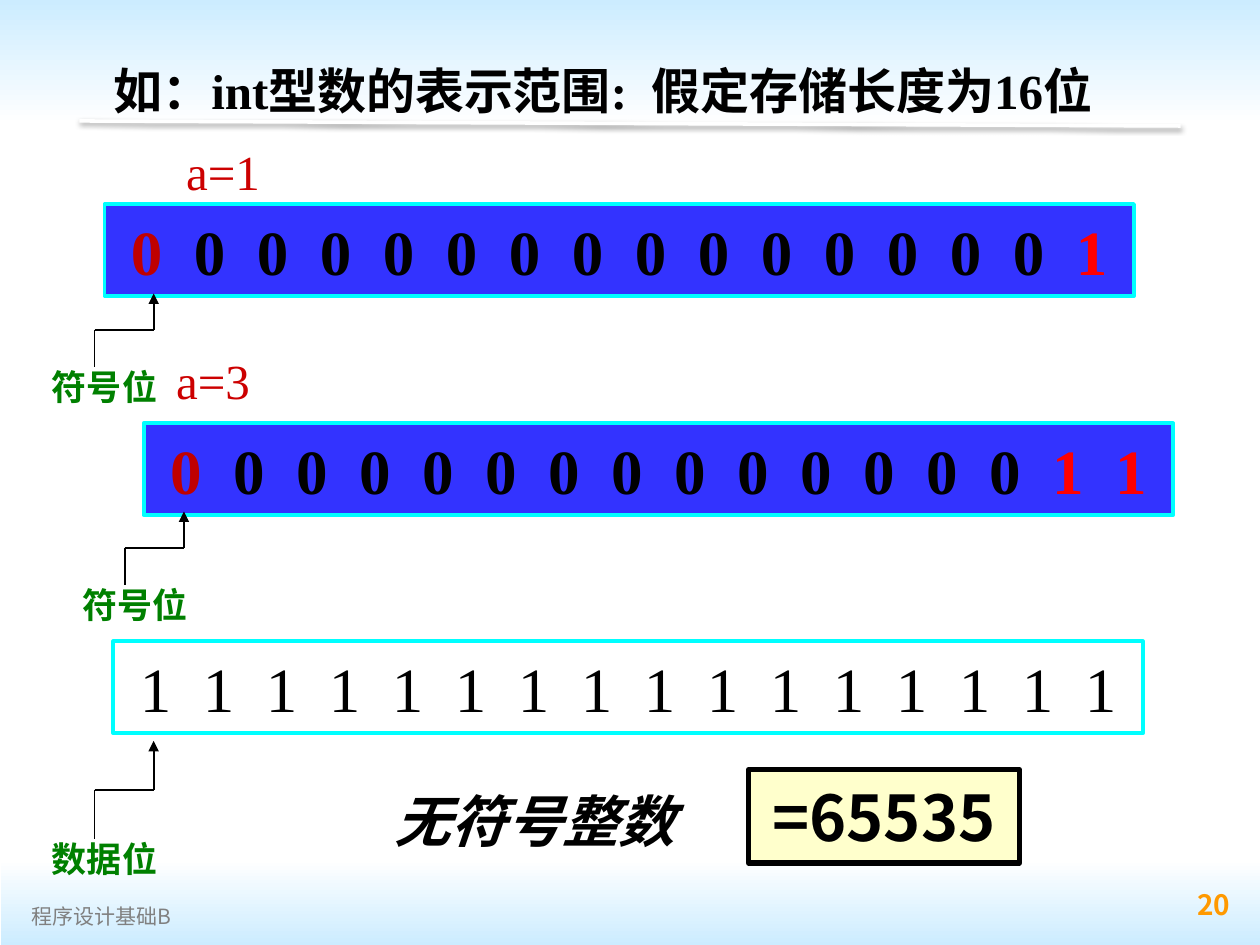
from dataclasses import dataclass

from pptx import Presentation
from pptx.dml.color import RGBColor as RGB
from pptx.enum.shapes import MSO_CONNECTOR as CONN, MSO_SHAPE as SHAPE
from pptx.enum.text import MSO_ANCHOR as ANCHOR, MSO_AUTO_SIZE as AUTO, PP_ALIGN as ALIGN
from pptx.oxml import parse_xml
from pptx.oxml.ns import nsdecls, qn
from pptx.util import Inches, Pt

SERIF, SANS = "Times New Roman", "Noto Sans CJK SC"
COLORS = {
    "white": "FFFFFF", "black": "000000", "sky": "CCECFF", "gray": "808080",
    "orange": "FF9900", "blue": "3333FF", "cyan": "00FFFF", "sign": "C00000",
    "one": "FF0000", "value": "CC0000", "green": "008000", "cream": "FFFFCC",
}
BIT_PITCH = 0.5
BIT_INSET = 0.21


@dataclass
class BitRow:
    left: float
    top: float
    bits: str
    fill: str
    signed: bool


@dataclass
class Marker:
    """A bent arrow with its tip at x, its corner at y, and a label below."""
    text: str
    x: float
    y: float
    rise: float


ROWS = [
    BitRow(0.83, 1.62, "0" * 15 + "1", "blue", True),
    BitRow(1.14, 3.36, "0" * 14 + "11", "blue", True),
    BitRow(0.9, 5.09, "1" * 16, "white", False),
]
MARKERS = [
    Marker("数据位", 1.22, 6.27, 0.39),
    Marker("符号位", 1.22, 2.62, 0.29),
    Marker("符号位", 1.46, 4.35, 0.29),
]


def rgb(name: str) -> RGB:
    return RGB.from_string(COLORS[name])


def add_run(p, text: str, *, size: float, color: str = "black", font: str = SERIF,
            bold: bool = False, italic: bool = False) -> None:
    r = p.add_run()
    r.text = text
    f = r.font
    f.size, f.bold, f.italic, f.name = Pt(size), bold, italic, font
    f.color.rgb = rgb(color)
    f._element.append(parse_xml(f'<a:ea {nsdecls("a")} typeface="{SANS}"/>'))


def write(sp, text: str, *, align=ALIGN.LEFT, wrap: bool = True, **fmt):
    tf = sp.text_frame
    tf.word_wrap, tf.auto_size = wrap, AUTO.NONE
    tf.vertical_anchor = ANCHOR.MIDDLE
    p = tf.paragraphs[0]
    p.alignment = align
    add_run(p, text, **fmt)
    return p


def add_text(s, text: str, x: float, y: float, w: float, h: float, **fmt) -> None:
    write(s.shapes.add_textbox(*map(Inches, (x, y, w, h))), text, **fmt)


def add_box(s, x: float, y: float, w: float, h: float, fill: str, line: str, width: float):
    sp = s.shapes.add_shape(SHAPE.RECTANGLE, *map(Inches, (x, y, w, h)))
    sp.shadow.inherit = False
    sp.fill.solid()
    sp.fill.fore_color.rgb = rgb(fill)
    sp.line.color.rgb = rgb(line)
    sp.line.width = Pt(width)
    return sp


def add_band(s, x: float, y: float, h: float, top: str, bottom: str) -> None:
    sp = s.shapes.add_shape(SHAPE.RECTANGLE, *map(Inches, (x, y, 10, h)))
    sp.shadow.inherit = False
    sp.line.fill.background()
    sp.fill.gradient()
    sp.fill.gradient_angle = 270
    for stop, color in zip(sp.fill.gradient_stops, (top, bottom)):
        stop.color.rgb = rgb(color)


def add_line(s, x1: float, y1: float, x2: float, y2: float, *, color: str = "black",
             width: float = 1, arrow: bool = False, effect: str = ""):
    c = s.shapes.add_connector(CONN.STRAIGHT, *map(Inches, (x1, y1, x2, y2)))
    c.line.color.rgb = rgb(color)
    c.line.width = Pt(width)
    if arrow:
        c.line._get_or_add_ln().append(parse_xml(f'<a:tailEnd {nsdecls("a")} type="triangle"/>'))
    c._element.spPr.append(parse_xml(f'<a:effectLst {nsdecls("a")}>{effect}</a:effectLst>'))


def add_bit_row(s, row: BitRow) -> None:
    sp = add_box(s, row.left, row.top, 8.17, 0.73, row.fill, "cyan", 2.25)
    sp.text_frame.margin_left = Inches(BIT_INSET)
    sp.text_frame.margin_right = 0
    if row.signed:
        zeros = row.bits.count("0")
        parts = [(row.bits[0], "sign"), (row.bits[1:zeros], "black"), (row.bits[zeros:], "one")]
    else:
        parts = [(row.bits[0], "black"), (row.bits[1:], "black")]
    fmt = dict(size=36, bold=row.signed)
    p = write(sp, parts[0][0], color=parts[0][1], **fmt)
    for bits, color in parts[1:]:
        add_run(p, "".join("\t" + bit for bit in bits), color=color, **fmt)
    # One tab stop per bit
    stops = "".join(f'<a:tab pos="{Inches(BIT_PITCH * i)}" algn="l"/>'
                    for i in range(1, len(row.bits)))
    p._p.get_or_add_pPr().append(parse_xml(f'<a:tabLst {nsdecls("a")}>{stops}</a:tabLst>'))


def add_marker(s, m: Marker) -> None:
    stem = m.x - 0.47
    add_text(s, m.text, m.x - 1.02, m.y + m.rise - 0.06, 1.26, 0.43,
             align=ALIGN.CENTER, size=20, color="green", bold=True)
    add_line(s, m.x, m.y, m.x, m.y - m.rise, arrow=True)
    add_line(s, stem, m.y, m.x, m.y)
    add_line(s, stem, m.y, stem, m.y + m.rise)


def add_title(s, text: str) -> None:
    sp = s.shapes.title
    sp.left, sp.top, sp.width, sp.height = map(Inches, (0.8, 0.44, 8.8, 0.55))
    p = write(sp, text, size=28, bold=True)
    pPr = p._p.get_or_add_pPr()
    pPr.set("marL", str(Inches(0.38)))
    pPr.set("indent", str(-Inches(0.38)))
    s.shapes._spTree.append(sp._element)  # in front of the bands


def main() -> None:
    prs = Presentation()
    prs.slide_width, prs.slide_height = Inches(10), Inches(7.5)
    s = prs.slides.add_slide(prs.slide_layouts[5])

    # Bands, title rule and footer
    add_band(s, 0, 0, 0.99, "sky", "white")
    add_band(s, 0.01, 6.82, 0.68, "white", "sky")
    shadow = (f'<a:outerShdw blurRad="{Pt(3.1)}" dist="{Pt(1.6)}" dir="5400000">'
              '<a:srgbClr val="000000"><a:alpha val="38000"/></a:srgbClr></a:outerShdw>')
    add_line(s, 0.63, 0.96, 9.37, 1, color="white", width=2, effect=shadow)
    add_text(s, "程序设计基础B", 0.15, 7.15, 1.63, 0.24, size=12, color="gray", font=SANS)
    add_text(s, "20", 7.55, 6.98, 2.31, 0.39, align=ALIGN.RIGHT, size=16,
             color="orange", font=SANS, bold=True)
    add_title(s, "如：int型数的表示范围:  假定存储长度为16位")

    # Stored bits and their values
    for row in ROWS:
        add_bit_row(s, row)
    add_text(s, "a=1", 1.38, 1.07, 1.1, 0.57, size=28, color="value")
    add_text(s, "a=3", 1.3, 2.73, 1.65, 0.57, size=28, color="value")

    # Unsigned result
    add_text(s, "无符号整数", 3.03, 6.19, 2.6, 0.63, size=32, bold=True, italic=True)
    result = add_box(s, 5.94, 6.11, 2.15, 0.74, "cream", "black", 3)
    write(result, "=65535", align=ALIGN.CENTER, wrap=False, size=36, font=SANS, bold=True)

    # Bit labels with bent arrows
    for m in MARKERS:
        add_marker(s, m)

    prs.save("out.pptx")


if __name__ == "__main__":
    main()
